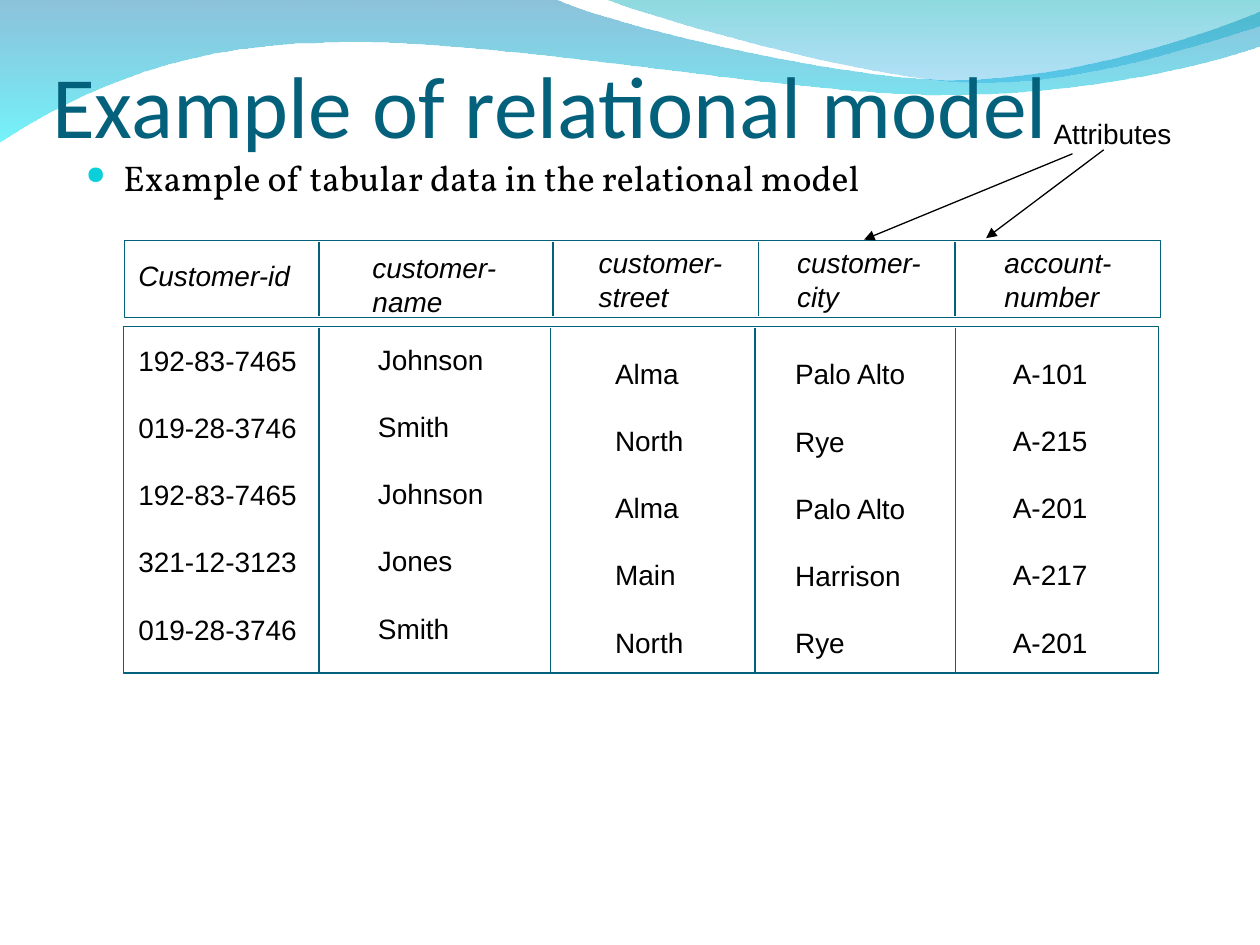
import pptx
import pptx.util
import pptx.dml.color
import pptx.enum.shapes
import pptx.enum.text
import pptx.oxml
import pptx.oxml.ns
from dataclasses import dataclass
from pptx.util import Cm


@dataclass(frozen=True)
class Theme:
    accent: str = "04617B"
    ink: str = "000000"
    paper: str = "FFFFFF"
    bullet: str = "0BD0D9"
    title_font: str = "Calibri"
    body_font: str = "Vollkorn"
    table_font: str = "Arial"
    title_size: float = 50
    body_size: float = 20.4
    table_size: float = 16
    table_pitch: float = 19.2
    rule: float = 0.75


THEME = Theme()

TITLE = "Example of relational model"
SUBTITLE = "Example of tabular data in the relational model"
ATTRIBUTES = "Attributes"

COLUMNS = [
    dict(header=["Customer-id"], header_box=(2.54, 5.08, 3.58, 0.94),
         values=["192-83-7465", "019-28-3746", "192-83-7465", "321-12-3123", "019-28-3746"],
         values_box=(2.54, 6.8, 3.8, 6.35)),
    dict(header=["customer-", "name"], header_box=(7.26, 4.93, 3, 1.63),
         values=["Johnson", "Smith", "Johnson", "Jones", "Smith"],
         values_box=(7.37, 6.78, 2.7, 6.35)),
    dict(header=["customer-", "street"], header_box=(11.82, 4.83, 3, 1.63),
         values=["Alma", "North", "Alma", "Main", "North"],
         values_box=(12.15, 7.06, 1.95, 6.35)),
    dict(header=["customer-", "city"], header_box=(15.82, 4.83, 3, 1.63),
         values=["Palo Alto", "Rye", "Palo Alto", "Harrison", "Rye"],
         values_box=(15.78, 7.07, 2.85, 6.35)),
    dict(header=["account-", "number"], header_box=(20, 4.83, 2.75, 1.63),
         values=["A-101", "A-215", "A-201", "A-217", "A-201"],
         values_box=(20.17, 7.06, 2.1, 6.35)),
]

BANDS = [
    dict(frame=(2.51, 4.85, 20.88, 1.55), dividers=(6.43, 11.15, 15.29, 19.25)),
    dict(frame=(2.49, 6.58, 20.87, 6.99), dividers=(6.43, 11.1, 15.22, 19.26)),
]

ARROWS = [((22.25, 3.02), (19.88, 4.8)), ((21.62, 3.1), (17.42, 4.83))]

WAVES = [
    dict(stops=[("0079AF", 45), ("00EBF8", 55)], outline=[
        [(0, -0.03)],
        [(11.18, -0.03)],
        [(12.09, 0.43), (16.87, 1.6), (19.25, 1.6)],
        [(21.67, 1.6), (24.33, 0.66), (25.4, 0.23)],
        [(25.43, 0.91)],
        [(24.97, 1.12), (22.1, 1.93), (18.95, 1.91)],
        [(15.8, 1.91), (9.7, 0.71), (6.53, 0.86)],
        [(3.28, 0.89), (1.17, 2.11), (-0.03, 2.87)],
    ]),
    dict(stops=[("00ADB6", 45), ("009BE5", 30)], outline=[
        [(12.17, -0.03)],
        [(12.93, 0.28), (17.32, 1.57), (19.53, 1.65)],
        [(21.74, 1.75), (24.41, 0.81), (25.4, 0.53)],
        [(25.4, 0)],
    ]),
]


def rgb(value):
    return pptx.dml.color.RGBColor.from_string(value)


def new_element(tag, **attributes):
    element = pptx.oxml.parse_xml(f"<a:{tag} {pptx.oxml.ns.nsdecls('a')}/>")
    for key, value in attributes.items():
        element.set(key, str(value))
    return element


def add_xml(parent, tag, **attributes):
    child = new_element(tag, **attributes)
    parent.append(child)
    return child


def bend_segments(wave, outline):
    sides = iter(list(wave._element.iter(pptx.oxml.ns.qn("a:lnTo"))))
    for segment in outline[1:]:
        first, *others = [next(sides) for _ in segment]
        if others:
            curve = new_element("cubicBezTo")
            first.addprevious(curve)
            for side in (first, *others):
                curve.append(side[0])
                side.getparent().remove(side)


def add_wave(slide, stops, outline):
    start, *rest = [(Cm(x), Cm(y)) for segment in outline for x, y in segment]
    builder = slide.shapes.build_freeform(*start, scale=1.0)
    builder.add_line_segments(rest, close=True)
    wave = builder.convert_to_shape()
    bend_segments(wave, outline)
    wave.shadow.inherit = False
    wave.line.fill.background()
    wave.fill.gradient()
    wave.fill.gradient_angle = 270
    for position, (stop, (color, _)) in enumerate(zip(wave.fill.gradient_stops, stops)):
        stop.color.rgb = rgb(color)
        stop.position = position
    for element, (_, opacity) in zip(wave._element.iter(pptx.oxml.ns.qn("a:srgbClr")), stops):
        add_xml(element, "alpha", val=opacity * 1000)


def add_line(slide, start, end, color, arrow=False):
    line = slide.shapes.add_connector(
        pptx.enum.shapes.MSO_CONNECTOR.STRAIGHT, *map(Cm, (*start, *end)))
    line.line.color.rgb = rgb(color)
    line.line.width = pptx.util.Pt(THEME.rule)
    if arrow:
        add_xml(line.line._get_or_add_ln(), "tailEnd", type="triangle")
    add_xml(line._element.spPr, "effectLst")


def style(paragraph, font, size, color=THEME.ink, italic=False):
    paragraph.font.name = font
    paragraph.font.size = pptx.util.Pt(size)
    paragraph.font.color.rgb = rgb(color)
    paragraph.font.italic = italic


def add_text(slide, box, lines, wrap=True):
    frame = slide.shapes.add_textbox(*map(Cm, box)).text_frame
    frame.word_wrap = wrap
    frame.text = "\n".join(lines)
    return frame


def add_table_text(slide, box, lines, gap=0, italic=False):
    frame = add_text(slide, box, lines, wrap=False)
    frame.auto_size = pptx.enum.text.MSO_AUTO_SIZE.SHAPE_TO_FIT_TEXT
    for index, paragraph in enumerate(frame.paragraphs):
        style(paragraph, THEME.table_font, THEME.table_size, italic=italic)
        paragraph.line_spacing = pptx.util.Pt(THEME.table_pitch)
        if index and gap:
            paragraph.space_before = pptx.util.Pt(gap)


def add_title(slide):
    frame = add_text(slide, (1.05, 0, 22.86, 3.15), [TITLE])
    style(frame.paragraphs[0], THEME.title_font, THEME.title_size, THEME.accent)
    frame.vertical_anchor = pptx.enum.text.MSO_ANCHOR.BOTTOM
    frame.margin_left = frame.margin_right = frame.margin_bottom = 0


def add_subtitle(slide):
    paragraph = add_text(slide, (1.48, 3.18, 17.35, 1.27), [SUBTITLE]).paragraphs[0]
    paragraph.line_spacing = 0.8
    properties = paragraph._p.get_or_add_pPr()
    properties.set("marL", str(Cm(0.76)))
    properties.set("indent", str(-Cm(0.76)))
    add_xml(add_xml(properties, "buClr"), "srgbClr", val=THEME.bullet)
    add_xml(properties, "buSzPct", val=70000)
    add_xml(properties, "buChar", char="●")
    style(paragraph, THEME.body_font, THEME.body_size)


def add_band(slide, frame, dividers):
    band = slide.shapes.add_shape(
        pptx.enum.shapes.MSO_SHAPE.RECTANGLE, *map(Cm, frame))
    band.shadow.inherit = False
    band.fill.solid()
    band.fill.fore_color.rgb = rgb(THEME.paper)
    band.line.color.rgb = rgb(THEME.accent)
    band.line.width = pptx.util.Pt(THEME.rule)
    _, top, _, height = frame
    for x in dividers:
        add_line(slide, (x, top + 0.03), (x, top + height - 0.03), THEME.accent)


def main():
    deck = pptx.Presentation()
    deck.slide_width, deck.slide_height = Cm(25.4), Cm(19.05)
    slide = deck.slides.add_slide(deck.slide_layouts[6])
    for wave in WAVES:
        add_wave(slide, **wave)
    add_title(slide)
    add_subtitle(slide)
    for band in BANDS:
        add_band(slide, **band)
    for column in COLUMNS:
        add_table_text(slide, column["header_box"], column["header"], italic=True)
        add_table_text(slide, column["values_box"], column["values"], gap=THEME.table_pitch)
    add_table_text(slide, (20.99, 2.22, 3, 0.94), [ATTRIBUTES])
    for start, end in ARROWS:
        add_line(slide, start, end, THEME.ink, arrow=True)
    deck.save("out.pptx")


if __name__ == "__main__":
    main()
